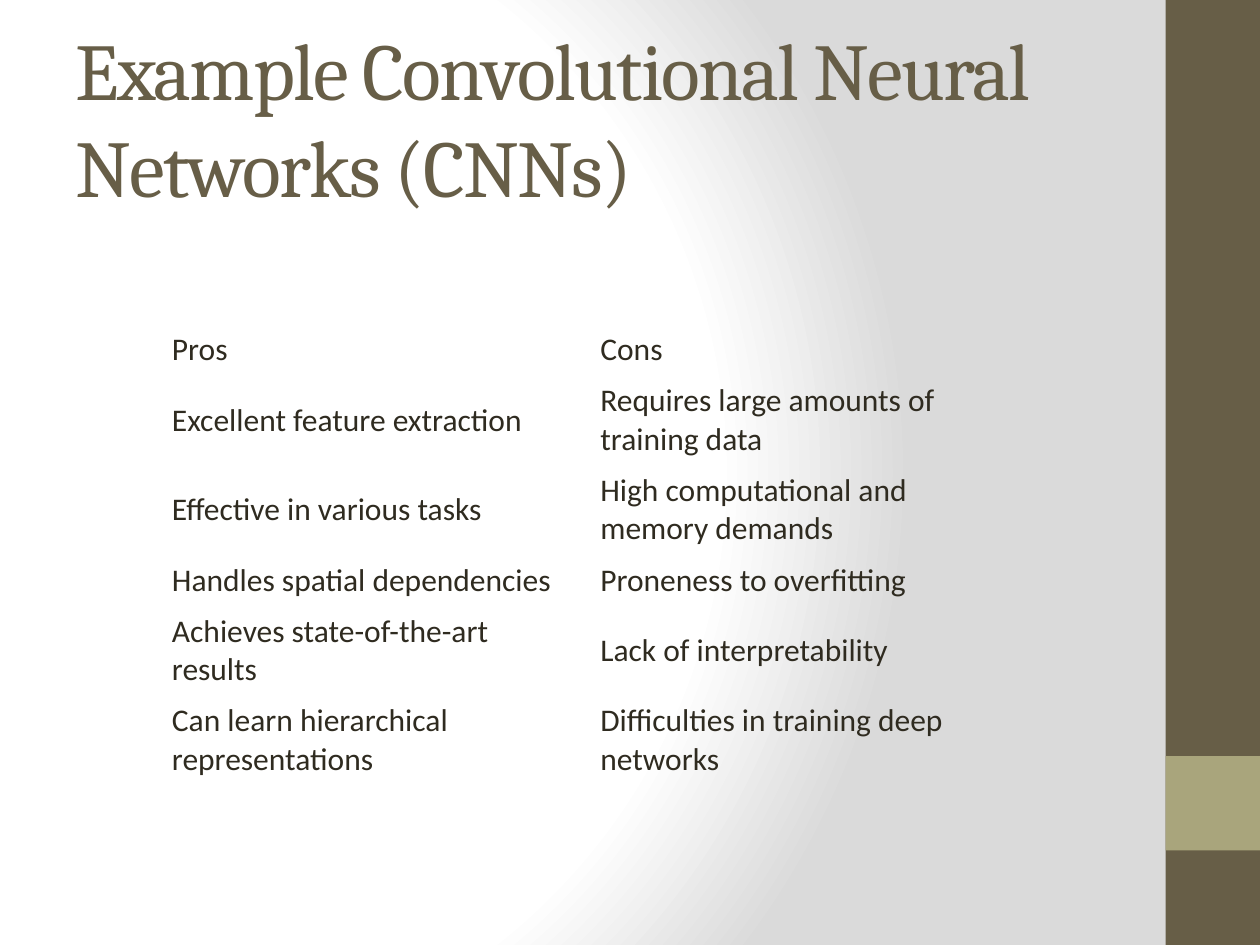
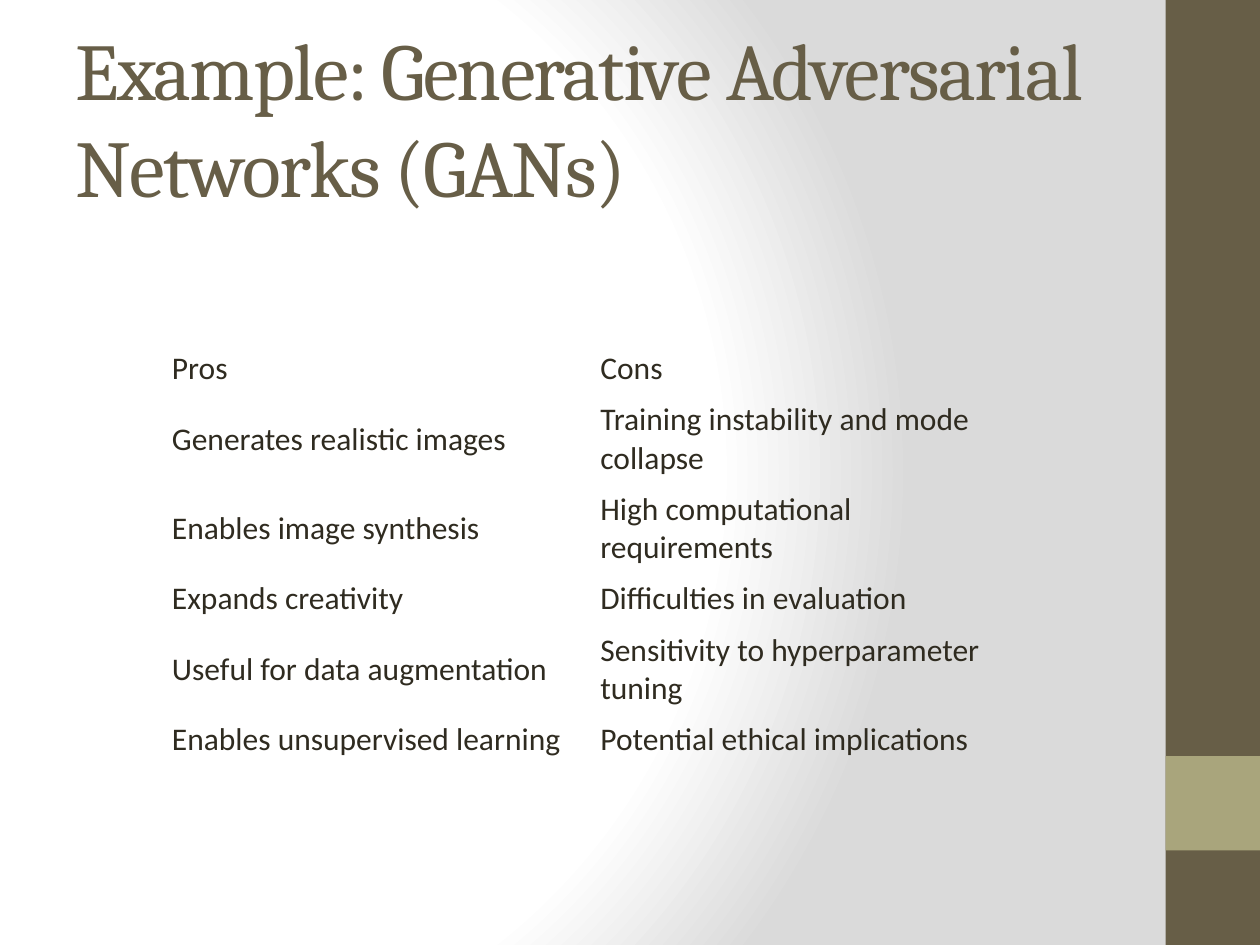
import pptx
import pptx.dml.color
import pptx.enum.shapes
import pptx.enum.text
import pptx.oxml
import pptx.oxml.ns
import pptx.util

RGBColor = pptx.dml.color.RGBColor
Anchor = pptx.enum.text.MSO_ANCHOR

WIDTH = pptx.util.Inches(10)
HEIGHT = pptx.util.Inches(7.5)
COLUMN = WIDTH // 20
ROW = HEIGHT // 15

BROWN = RGBColor(0x67, 0x5E, 0x47)
SAGE = RGBColor(0xA9, 0xA5, 0x7C)
INK = RGBColor(0x2F, 0x2B, 0x20)
WHITE = RGBColor(0xFF, 0xFF, 0xFF)
GREY = RGBColor(0xDA, 0xDA, 0xDA)
BACKGROUND_STOPS = [(0, WHITE), (75, WHITE), (100, GREY)]

TITLE_FONT, TITLE_SIZE = "Cambria", pptx.util.Pt(46)
BODY_FONT, BODY_SIZE = "Calibri", pptx.util.Pt(18)
PLAIN_TABLE_STYLE = "{2D5ABB26-0587-4C30-8999-92F81FD0307C}"
LONGEST_LINE = 30  # characters that fit on one line of a cell

SLIDES = [
    ("Example Convolutional Neural Networks (CNNs)", [
        ("Pros", "Cons"),
        ("Excellent feature extraction", "Requires large amounts of training data"),
        ("Effective in various tasks", "High computational and memory demands"),
        ("Handles spatial dependencies", "Proneness to overfitting"),
        ("Achieves state-of-the-art results", "Lack of interpretability"),
        ("Can learn hierarchical representations", "Difficulties in training deep networks"),
    ]),
    ("Example: Generative Adversarial Networks (GANs)", [
        ("Pros", "Cons"),
        ("Generates realistic images", "Training instability and mode collapse"),
        ("Enables image synthesis", "High computational requirements"),
        ("Expands creativity", "Difficulties in evaluation"),
        ("Useful for data augmentation", "Sensitivity to hyperparameter tuning"),
        ("Enables unsupervised learning", "Potential ethical implications"),
    ]),
]


def grid_box(column, row, columns, rows):
    """Turn grid columns and rows into left, top, width and height."""
    return (round(column * COLUMN), round(row * ROW),
            round(columns * COLUMN), round(rows * ROW))


TITLE_BOX = grid_box(1, 0.6, 16.66, 2.5)
SIDE_BAND = grid_box(18.5, 0, 1.5, 15)
TABLE_AREA = grid_box(2.53, 5.15, 13.6, 7.2)


def set_background(master):
    """Fill the master with a radial gradient from white to grey."""
    stops = "".join(
        f'<a:gs pos="{position * 1000}"><a:srgbClr val="{color}"/></a:gs>'
        for position, color in BACKGROUND_STOPS)
    background = pptx.oxml.parse_xml(
        f'<p:bg {pptx.oxml.ns.nsdecls("p", "a")}><p:bgPr>'
        f'<a:gradFill rotWithShape="1"><a:gsLst>{stops}</a:gsLst>'
        '<a:path path="circle">'
        '<a:fillToRect l="20000" t="50000" r="100000" b="50000"/>'
        '</a:path></a:gradFill><a:effectLst/></p:bgPr></p:bg>')
    common = master.element.cSld
    for old_background in common.findall(pptx.oxml.ns.qn("p:bg")):
        common.remove(old_background)
    common.insert(0, background)


def add_side_band(slide, box):
    """Draw the right-hand band with its light square."""
    left, top, width, height = box
    parts = [
        (top, height, BROWN),
        (top + round(height * 0.8), width, SAGE),
    ]
    for part_top, part_height, color in parts:
        part = slide.shapes.add_shape(
            pptx.enum.shapes.MSO_SHAPE.RECTANGLE, left, part_top, width, part_height)
        part.shadow.inherit = False
        part.fill.solid()
        part.fill.fore_color.rgb = color
        part.line.fill.background()


def set_title(slide, text, box):
    title = slide.shapes.title
    title.left, title.top, title.width, title.height = box
    frame = title.text_frame
    frame.text = text
    frame.word_wrap = True
    frame.auto_size = pptx.enum.text.MSO_AUTO_SIZE.NONE
    frame.vertical_anchor = Anchor.MIDDLE
    paragraph = frame.paragraphs[0]
    paragraph.alignment = pptx.enum.text.PP_ALIGN.LEFT
    paragraph.font.name = TITLE_FONT
    paragraph.font.size = TITLE_SIZE
    paragraph.font.color.rgb = BROWN
    # Tighten the letters by one point
    paragraph.runs[0]._r.get_or_add_rPr().set("spc", "-100")


def add_pros_and_cons(slide, rows, area):
    """Place a plain two-column table, centred vertically in its area."""
    left, top, width, height = area
    one_line, two_lines = round(0.8 * ROW), round(1.4 * ROW)
    row_heights = [
        two_lines if max(map(len, row)) > LONGEST_LINE else one_line for row in rows]
    table_height = sum(row_heights)
    frame = slide.shapes.add_table(
        len(rows), len(rows[0]), left, top + (height - table_height) // 2,
        width, table_height)
    table = frame.table
    table.first_row = table.horz_banding = False
    style = next(frame.element.iter(pptx.oxml.ns.qn("a:tableStyleId")))
    style.text = PLAIN_TABLE_STYLE

    for row_index, row in enumerate(rows):
        table.rows[row_index].height = row_heights[row_index]
        for column_index, text in enumerate(row):
            cell = table.cell(row_index, column_index)
            cell.text = text
            cell.fill.background()
            cell.vertical_anchor = Anchor.MIDDLE if row_index else Anchor.BOTTOM
            font = cell.text_frame.paragraphs[0].font
            font.name = BODY_FONT
            font.size = BODY_SIZE
            font.color.rgb = INK


def add_comparison_slide(presentation, title, rows):
    slide = presentation.slides.add_slide(presentation.slide_layouts[5])
    add_side_band(slide, SIDE_BAND)
    set_title(slide, title, TITLE_BOX)
    add_pros_and_cons(slide, rows, TABLE_AREA)


def main():
    presentation = pptx.Presentation()
    presentation.slide_width, presentation.slide_height = WIDTH, HEIGHT
    set_background(presentation.slide_master)
    for title, rows in SLIDES:
        add_comparison_slide(presentation, title, rows)
    presentation.save("out.pptx")


if __name__ == "__main__":
    main()
